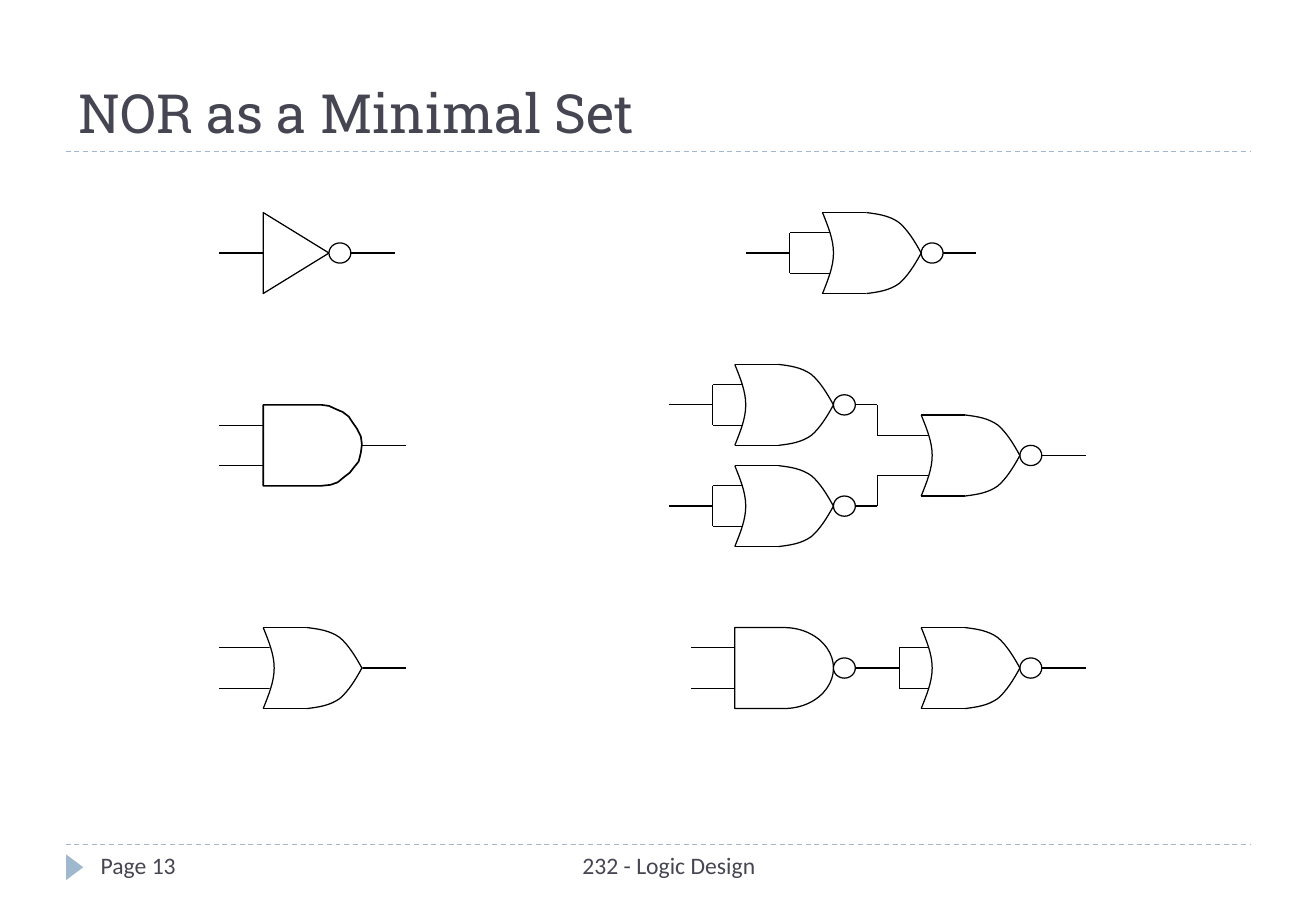
from lxml import etree
from pptx import Presentation
from pptx.dml.color import RGBColor
from pptx.enum.dml import MSO_LINE
from pptx.enum.shapes import MSO_CONNECTOR, MSO_SHAPE
from pptx.enum.text import MSO_ANCHOR, PP_ALIGN
from pptx.oxml.ns import qn
from pptx.util import Inches, Pt

STRAIGHT = MSO_CONNECTOR.STRAIGHT
DASH = MSO_LINE.DASH
DELAY, CIRCLE, TRIANGLE = (
    MSO_SHAPE.FLOWCHART_DELAY, MSO_SHAPE.FLOWCHART_CONNECTOR, MSO_SHAPE.ISOSCELES_TRIANGLE)
LEFT, CENTER = PP_ALIGN.LEFT, PP_ALIGN.CENTER
TOP, BOTTOM = MSO_ANCHOR.TOP, MSO_ANCHOR.BOTTOM

COLORS = {"text": "464653", "accent": "9FB8CD", "ink": "000000", "paper": "FFFFFF"}

TEXTS = [
    ("NOR as a Minimal Set", (0.55, 0.16, 9.75, 1.08), 32, "Roboto Slab", LEFT, BOTTOM),
    ("232 - Logic Design", (3.43, 6.96, 4.15, 0.4), 14, "Calibri", CENTER, TOP),
    ("Page 13", (0.73, 6.96, 2.35, 0.4), 14, "Calibri", LEFT, TOP),
]
RULES = [6.95, 1.25]

COLUMN, ROW = 10.83 / 120, 7.5 / 90
HALF_HEIGHT, INPUT_OFFSET, GATE_WIDTH, LEAD = 4, 2, 9, 4

NOT_GATE = (24, 25)
AND_GATE = (24, 44)
OR_GATE = (24, 66)
NOR_AS_NOT = (75, 25)
NOR_UPPER = (67, 40)
NOR_LOWER = (67, 50)
NOR_AS_AND = (84, 45)
DELAY_GATE = (67, 66)
NOR_INVERTER = (84, 66)
JOIN = 80

TIED_GATES = [(NOR_AS_NOT, 72), (NOR_INVERTER, 82), (NOR_UPPER, 65), (NOR_LOWER, 65)]
SPLIT_GATES = [(AND_GATE, 20, 0), (OR_GATE, 20, 1), (DELAY_GATE, 63, 0), (NOR_AS_AND, JOIN, 1)]
OUTPUTS = [(32, 36, 25), (33, 37, 44), (33, 37, 66), (85, 89, 25), (95, 99, 45), (95, 99, 66)]

NOT_OUTLINE = [(6, 0), (0, -4), (0, 4), (6, 0)]
AND_OUTLINE = [
    (5.35, -4), (0, -4), (0, 4), (5.25, 4), (6.15, 3.9), (6.8, 3.65), (7.35, 3.15), (7.9, 2.7),
    (8.25, 2.2), (8.7, 1.6), (8.9, 0.75), (9, -0.1), (8.9, -0.9), (8.55, -1.65), (8.1, -2.35),
    (7.8, -2.85), (7.25, -3.3), (6.7, -3.55), (6, -3.9), (5.35, -4)]
NOSE = [(4, -4), (5.1, -3.85), (6.1, -3.7), (7, -3), (7.75, -2.3), (8.4, -1.2), (9, 0)]
BACK = [(0, -4), (0.5, -2.65), (1, -1.35), (1, 0), (1, 1.35), (0.5, 2.65), (0, 4)]
OR_FILLER = [(0, -4), (1, -1), (1, 1), (0, 4), (2, 4), (2, -4), (0, -4)]
NOR_FILLER = [(0, 4), (1, 1), (1, 0), (1, -1), (0, -4), (1, -4), (1, 4), (0, 4)]


def color(name):
    return RGBColor.from_string(COLORS[name])


def style(shape, fill="paper", line="ink", width=0.75):
    shape.shadow.inherit = False
    if fill:
        shape.fill.solid()
        shape.fill.fore_color.rgb = color(fill)
    else:
        shape.fill.background()
    if line:
        shape.line.color.rgb = color(line)
        shape.line.width = Pt(width)
    else:
        shape.line.fill.background()


def add_line(shapes, x1, y1, x2, y2, name="ink", dash=None):
    line = shapes.add_connector(STRAIGHT, *map(Inches, (x1, y1, x2, y2)))
    line.line.color.rgb = color(name)
    line.line.width = Pt(0.75)
    if dash:
        line.line.dash_style = dash
    etree.SubElement(line._element.spPr, qn("a:effectLst"))


def add_wire(shapes, x1, y1, x2, y2):
    add_line(shapes, x1 * COLUMN, y1 * ROW, x2 * COLUMN, y2 * ROW)


def add_part(shapes, kind, left, top, width, height, line="ink"):
    style(shapes.add_shape(kind, Inches(left * COLUMN), Inches(top * ROW),
                           Inches(width * COLUMN), Inches(height * ROW)), line=line)


def add_outline(shapes, gate, outline, curved=False, **look):
    left, middle = gate
    points = [(Inches((left + x) * COLUMN), Inches((middle + y) * ROW)) for x, y in outline]
    builder = shapes.build_freeform(*points[0])
    builder.add_line_segments(points[1:], close=False)
    shape = builder.convert_to_shape()
    style(shape, **look)
    if curved:
        segments = list(shape._element.iter(qn("a:lnTo")))
        for first in range(0, len(segments), 3):
            bezier = etree.Element(qn("a:cubicBezTo"))
            segments[first].addprevious(bezier)
            for segment in segments[first:first + 3]:
                bezier.append(segment[0])
                segment.getparent().remove(segment)


def add_bubble(shapes, gate, offset=GATE_WIDTH):
    add_part(shapes, CIRCLE, gate[0] + offset, gate[1] - 1, 2, 2)


def add_or_gate(slide, gate, inverted):
    shapes = slide.shapes.add_group_shape().shapes
    left, middle = gate
    inset, drop = (1, 1) if inverted else (2, 0)
    add_part(shapes, DELAY, left + inset, middle - HALF_HEIGHT + drop,
             GATE_WIDTH - inset, 2 * HALF_HEIGHT, "paper")
    if inverted:
        add_bubble(shapes, gate)
        add_outline(shapes, gate, NOR_FILLER, line=None)
    else:
        add_outline(shapes, gate, OR_FILLER, line="paper")
    add_outline(shapes, gate, BACK, curved=True, fill=None)
    for side in (1, -1):
        add_outline(shapes, gate, [(x, y * side) for x, y in NOSE], curved=True)
    for y in (middle - HALF_HEIGHT, middle + HALF_HEIGHT):
        add_wire(shapes, left, y, left + 4, y)


def add_inputs(shapes, gate, start, depth):
    left, middle = gate
    for y in (middle - INPUT_OFFSET, middle + INPUT_OFFSET):
        add_wire(shapes, left + depth, y, start, y)


def add_text(slide, text, box, size, font, alignment, anchor):
    frame = slide.shapes.add_textbox(*map(Inches, box)).text_frame
    frame.word_wrap = True
    frame.vertical_anchor = anchor
    paragraph = frame.paragraphs[0]
    paragraph.text = text
    paragraph.alignment = alignment
    paragraph.font.size = Pt(size)
    paragraph.font.name = font
    paragraph.font.color.rgb = color("text")


def main():
    presentation = Presentation()
    presentation.slide_width, presentation.slide_height = Inches(10.83), Inches(7.5)
    slide = presentation.slides.add_slide(presentation.slide_layouts[6])
    shapes = slide.shapes

    for y in RULES:
        add_line(shapes, 0.54, y, 10.29, y, "accent", DASH)
    marker = shapes.add_shape(TRIANGLE, *map(Inches, (0.51, 7.07, 0.21, 0.14)))
    marker.rotation = 90
    style(marker, "accent", None)
    for entry in TEXTS:
        add_text(slide, *entry)

    add_outline(shapes, AND_GATE, AND_OUTLINE, width=1)
    inverter = shapes.add_group_shape().shapes
    add_outline(inverter, NOT_GATE, NOT_OUTLINE)
    add_bubble(inverter, NOT_GATE, 6)

    add_wire(shapes, *NOT_GATE, NOT_GATE[0] - LEAD, NOT_GATE[1])
    for gate, tie in TIED_GATES:
        middle = gate[1]
        add_inputs(shapes, gate, tie, 1)
        add_wire(shapes, tie, middle - INPUT_OFFSET, tie, middle + INPUT_OFFSET)
        add_wire(shapes, tie, middle, tie - LEAD, middle)
    for gate, start, depth in SPLIT_GATES:
        add_inputs(shapes, gate, start, depth)
    for x1, x2, y in OUTPUTS:
        add_wire(shapes, x2, y, x1, y)
    for (left, y), side in ((NOR_UPPER, -1), (NOR_LOWER, 1)):
        add_wire(shapes, left + GATE_WIDTH + 2, y, JOIN, y)
        add_wire(shapes, JOIN, y, JOIN, NOR_AS_AND[1] + side * INPUT_OFFSET)

    add_or_gate(slide, OR_GATE, False)
    delay = shapes.add_group_shape().shapes
    add_part(delay, DELAY, DELAY_GATE[0], DELAY_GATE[1] - HALF_HEIGHT, GATE_WIDTH, 2 * HALF_HEIGHT)
    add_bubble(delay, DELAY_GATE)
    for gate in (NOR_AS_NOT, NOR_INVERTER, NOR_AS_AND, NOR_UPPER, NOR_LOWER):
        add_or_gate(slide, gate, True)

    presentation.save("out.pptx")


if __name__ == "__main__":
    main()
